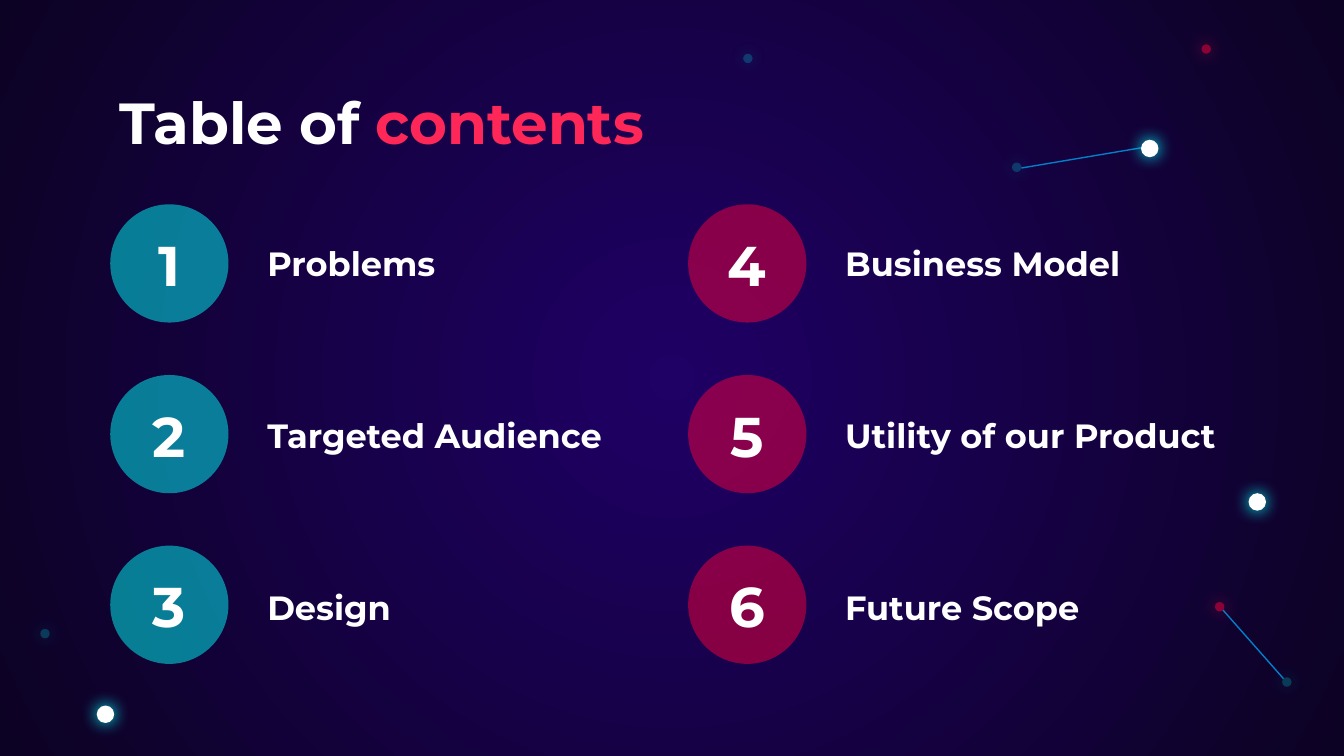
"""Build a table of contents slide with six numbered topics."""
from lxml.etree import SubElement
from pptx import Presentation
from pptx.dml.color import RGBColor
from pptx.enum.shapes import MSO_CONNECTOR, MSO_SHAPE
from pptx.enum.text import MSO_ANCHOR, PP_ALIGN
from pptx.oxml.ns import qn
from pptx.util import Inches, Pt

WHITE = RGBColor(0xFF, 0xFF, 0xFF)
CYAN = RGBColor(0x00, 0xFF, 0xFD)
RED = RGBColor(0xFF, 0x00, 0x3A)
PINK = RGBColor(0xFF, 0x27, 0x58)
BLUE = RGBColor(0x00, 0x7F, 0xCA)
INNER = RGBColor(0x1F, 0x00, 0x65)
OUTER = RGBColor(0x0C, 0x02, 0x23)

TITLE = [("Table of ", WHITE), ("contents", PINK)]
COLUMNS = [
    (0.82, CYAN, 49, ["Problems", "Targeted Audience", "Design"]),
    (5.12, RED, 48, ["Business Model", "Utility of our Product", "Future Scope"]),
]
TOP, PITCH, DISC = 1.52, 1.27, 0.88
TEXT_TOP, TEXT_PITCH = 1.61, 1.28

STYLES = {
    "star": (0.13, WHITE, 100, CYAN),
    "dim": (0.07, CYAN, 20, CYAN),
    "red": (0.07, RED, 48, PINK),
}
DOTS = [
    ("star", 0.72, 5.25), ("dim", 0.3, 4.68), ("star", 9.29, 3.67),
    ("red", 9.04, 4.48), ("dim", 9.54, 5.04), ("red", 8.94, 0.33),
    ("star", 8.49, 1.04), ("dim", 7.53, 1.21), ("dim", 5.53, 0.4),
]
LINKS = [(9.55, 5.05, 9.1, 4.54), (8.49, 1.1, 7.6, 1.25)]


def add_text(slide, runs, left, top, width, height, size=18, align=PP_ALIGN.LEFT):
    frame = slide.shapes.add_textbox(*map(Inches, (left, top, width, height))).text_frame
    frame.word_wrap = True
    frame.vertical_anchor = MSO_ANCHOR.MIDDLE
    frame.margin_left = frame.margin_right = Inches(0.1)
    frame.margin_top = frame.margin_bottom = Inches(0.1)
    para = frame.paragraphs[0]
    para.alignment = align
    for text, color in runs:
        run = para.add_run()
        run.text = text
        font = run.font
        font.name, font.size, font.bold = "Montserrat", Pt(size), True
        font.color.rgb = color


def add_disc(slide, left, top, size, color, alpha=100, glow=None):
    disc = slide.shapes.add_shape(
        MSO_SHAPE.OVAL, Inches(left), Inches(top), Inches(size), Inches(size))
    disc.shadow.inherit = False
    disc.fill.solid()
    disc.fill.fore_color.rgb = color
    disc.line.fill.background()
    props = disc.element.spPr
    if alpha < 100:
        tint = props.find(qn("a:solidFill")).find(qn("a:srgbClr"))
        SubElement(tint, qn("a:alpha"), val=str(alpha * 1000))
    if glow is not None:
        shade = SubElement(props.find(qn("a:effectLst")), qn("a:outerShdw"),
                           blurRad=str(Pt(9)), dist="0", algn="ctr", rotWithShape="0")
        SubElement(shade, qn("a:srgbClr"), val=str(glow))


def add_link(slide, *ends):
    link = slide.shapes.add_connector(MSO_CONNECTOR.STRAIGHT, *map(Inches, ends))
    link.line.color.rgb = BLUE
    link.line.width = Pt(0.75)
    SubElement(link.element.spPr, qn("a:effectLst"))


def paint_back(slide):
    fill = slide.background.fill
    fill.gradient()
    for stop, color in zip(fill.gradient_stops, (INNER, OUTER)):
        stop.color.rgb = color
    grad = next(slide.element.iter(qn("a:gradFill")))
    grad.remove(grad.find(qn("a:lin")))
    shape = SubElement(grad, qn("a:path"), path="circle")
    SubElement(shape, qn("a:fillToRect"), l="50000", t="50000", r="50000", b="50000")


def main():
    deck = Presentation()
    deck.slide_width = Inches(10)
    deck.slide_height = deck.slide_width * 9 // 16
    slide = deck.slides.add_slide(deck.slide_layouts[6])
    paint_back(slide)
    for link in LINKS:
        add_link(slide, *link)
    for kind, left, top in DOTS:
        size, color, alpha, glow = STYLES[kind]
        add_disc(slide, left, top, size, color, alpha, glow)
    add_text(slide, TITLE, 0.79, 0.59, 8.43, 0.62, size=31)
    number = 1
    for left, color, alpha, topics in COLUMNS:
        for row, topic in enumerate(topics):
            top = TOP + row * PITCH
            add_disc(slide, left, top, DISC, color, alpha)
            add_text(slide, [(str(number), WHITE)], left + 0.16, top + 0.12,
                     0.56, 0.65, size=30, align=PP_ALIGN.CENTER)
            add_text(slide, [(topic, WHITE)], left + 1.07,
                     TEXT_TOP + row * TEXT_PITCH, 2.99, 0.7)
            number += 1
    deck.save("out.pptx")


if __name__ == "__main__":
    main()
